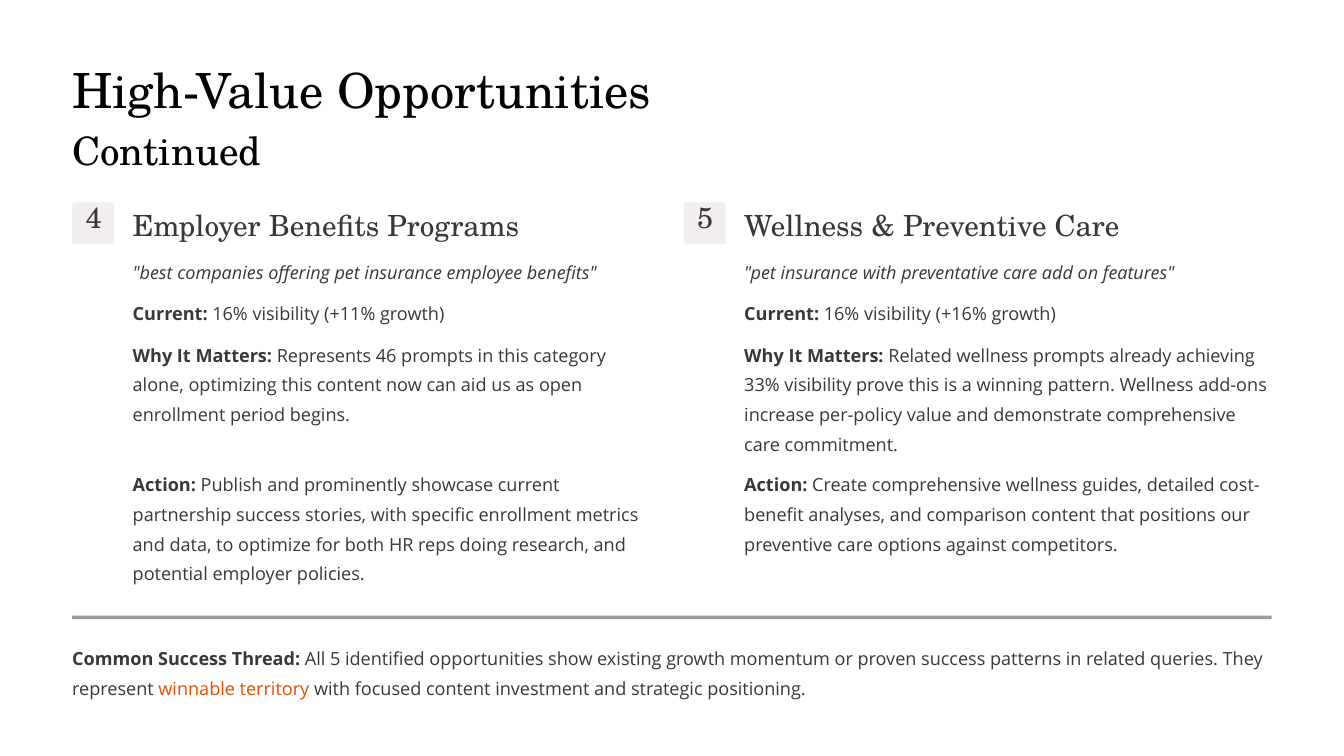
from lxml import etree
from pptx import Presentation
from pptx.dml.color import RGBColor
from pptx.enum.shapes import MSO_SHAPE
from pptx.enum.text import PP_ALIGN
from pptx.oxml.ns import qn
from pptx.util import Inches, Pt

RECT, ROUND = MSO_SHAPE.RECTANGLE, MSO_SHAPE.ROUNDED_RECTANGLE
LEFT, CENTER = PP_ALIGN.LEFT, PP_ALIGN.CENTER
WHITE = RGBColor(0xFF, 0xFF, 0xFF)
BLACK = RGBColor(0x02, 0x02, 0x02)
GREY = RGBColor(0x38, 0x38, 0x38)
PALE = RGBColor(0xF2, 0xEE, 0xEE)
ORANGE = RGBColor(0xE0, 0x4F, 0x00)
SERIF, SANS = "TeX Gyre Schola", "Open Sans"

# Runs are (text, style): "b" bold, "i" italic, "o" orange, "" plain
TITLE, SUBTITLE = "High-Value Opportunities", "Continued"
ITEMS = [
    dict(number="4", head="Employer Benefits Programs", rows=[
        [('"best companies offering pet insurance employee benefits"', "i")],
        [("Current:", "b"), (" 16% visibility (+11% growth)", "")],
        [("Why It Matters:", "b"),
         (" Represents 46 prompts in this category alone, optimizing this "
          "content now can aid us as open enrollment period begins.", "")],
        [("Action:", "b"),
         (" Publish and prominently showcase current partnership success "
          "stories, with specific enrollment metrics and data, to optimize "
          "for both HR reps doing research, and potential employer "
          "policies.", "")],
    ], lines=(1, 1, 4, 4)),
    dict(number="5", head="Wellness & Preventive Care", rows=[
        [('"pet insurance with preventative care add on features"', "i")],
        [("Current:", "b"), (" 16% visibility (+16% growth)", "")],
        [("Why It Matters:", "b"),
         (" Related wellness prompts already achieving 33% visibility prove "
          "this is a winning pattern. Wellness add-ons increase per-policy "
          "value and demonstrate comprehensive care commitment.", "")],
        [("Action:", "b"),
         (" Create comprehensive wellness guides, detailed cost-benefit "
          "analyses, and comparison content that positions our preventive "
          "care options against competitors.", "")],
    ], lines=(1, 1, 4, 3)),
]
THREAD = [
    ("Common Success Thread:", "b"),
    (" All 5 identified opportunities show existing growth momentum or "
     "proven success patterns in related queries. They represent ", ""),
    ("winnable territory", "o"),
    (" with focused content investment and strategic positioning.", ""),
]

WIDE, HIGH = 16, 9
EDGE = 0.86
SPAN = WIDE - 2 * EDGE
STEP = 7.28            # from one column to the next
BADGE, INDENT = 0.5, 0.72
BODY = SPAN - STEP - INDENT
TOP = 2.41
LINE, GAP = 0.35, 0.14

deck = Presentation()
deck.slide_width, deck.slide_height = Inches(WIDE), Inches(HIGH)
slide = deck.slides.add_slide(deck.slide_layouts[6])
slide.background.fill.solid()
slide.background.fill.fore_color.rgb = WHITE


def add_text(box, runs, size, lead, face=SANS, color=GREY, align=LEFT):
    frame = slide.shapes.add_textbox(*map(Inches, box)).text_frame
    frame.margin_left = frame.margin_right = 0
    frame.margin_top = frame.margin_bottom = 0
    frame.word_wrap = True
    para = frame.paragraphs[0]
    para.alignment, para.line_spacing = align, Pt(lead)
    para.font.name, para.font.size = face, Pt(size)
    para.font.color.rgb = color
    for text, style in runs:
        run = para.add_run()
        run.text = text
        if style == "b":
            run.font.bold = True
        elif style == "i":
            run.font.italic = True
        elif style == "o":
            run.font.color.rgb = ORANGE


def add_body(left, top, width, lines, runs):
    add_text((left, top, width, lines * LINE), runs, 15.5, 25.5)


def add_block(kind, box, color):
    block = slide.shapes.add_shape(kind, *map(Inches, box))
    block.shadow.inherit = False
    block.fill.solid()
    block.fill.fore_color.rgb = color
    block.line.fill.background()
    return block


def add_item(left, item):
    badge = add_block(ROUND, (left, TOP, BADGE, BADGE), PALE)
    badge.adjustments[0] = 0.07
    add_text((left + 0.08, TOP + 0.03, 0.35, 0.44), [(item["number"], "")],
             25, 25, SERIF, align=CENTER)
    left += INDENT
    add_text((left, TOP + 0.04, 4.8, 0.44), [(item["head"], "")],
             25, 31, SERIF)
    top = 3.02
    for runs, lines in zip(item["rows"], item["lines"]):
        add_body(left, top, BODY, lines, runs)
        top += lines * LINE + GAP


add_text((EDGE, 0.68, 7.1, 0.73), [(TITLE, "")], 41.5, 52, SERIF, BLACK)
add_text((EDGE, 1.49, 4.66, 0.58), [(SUBTITLE, "")], 33.5, 41.5, SERIF, BLACK)
for col, item in enumerate(ITEMS):
    add_item(EDGE + col * STEP, item)

rule = add_block(RECT, (EDGE, 7.33, SPAN, 0.04), GREY)
tint = rule.fill._xPr.find(qn("a:solidFill"))[0]
etree.SubElement(tint, qn("a:alpha")).set("val", "50000")
add_body(EDGE, 7.61, SPAN, 2, THREAD)

deck.save("out.pptx")
